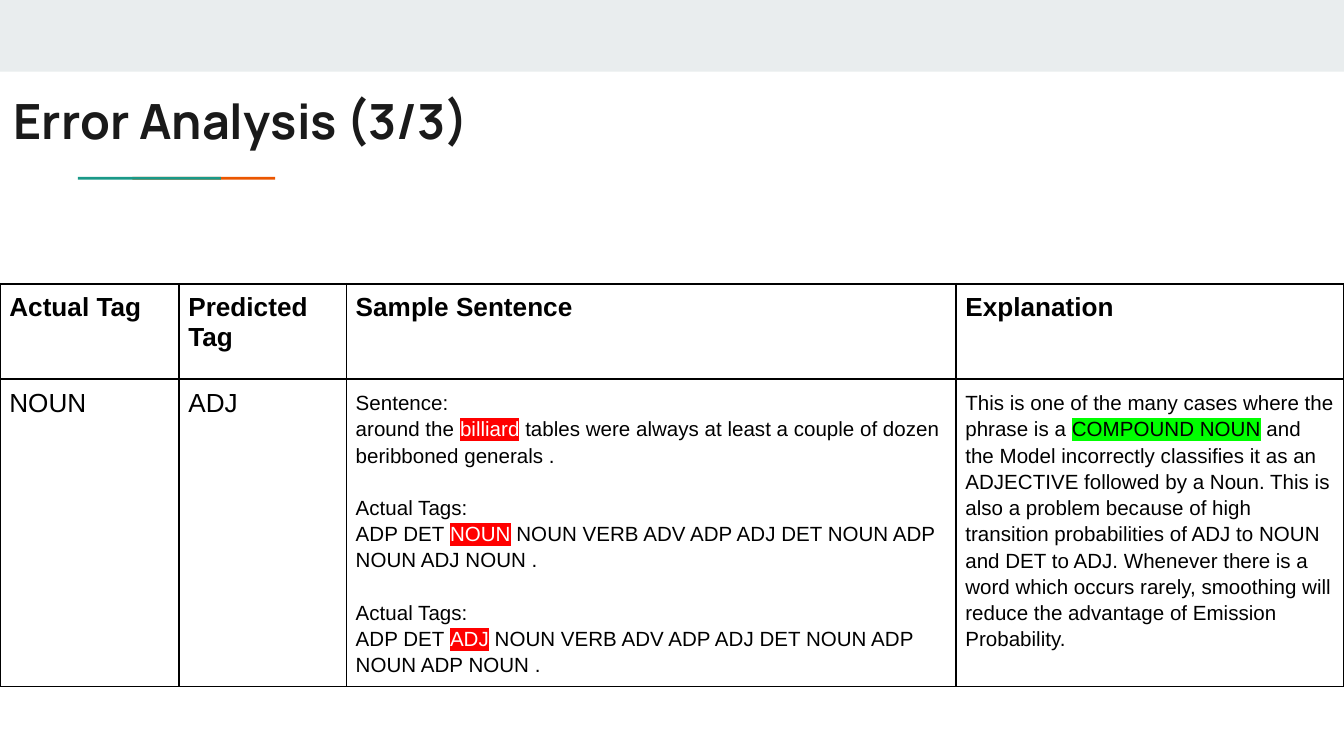
import pptx
import pptx.dml.color
import pptx.enum.shapes
import pptx.enum.text
import pptx.oxml
import pptx.oxml.ns
import pptx.util

Pt = pptx.util.Pt
COLORS = {
    "band": "E9EDEE", "teal": "1A9988", "orange": "EB5600", "title": "1A1A1A",
    "black": "000000", "white": "FFFFFF", "red": "FF0000", "green": "00FF00",
}
NAMESPACE = pptx.oxml.ns.nsdecls("a")


def color(name):
    return pptx.dml.color.RGBColor.from_string(COLORS[name])


class SlideBuilder:
    """Holds the style and the current slide."""

    title_font, body_font = "Manrope", "Arial"
    cell_margin = Pt(5)
    blank_line = Pt(14)

    def __init__(self, slide):
        self.slide = slide

    def title(self, text, left, top, width, height):
        shape = self.slide.shapes.title
        shape.left, shape.top = Pt(left), Pt(top)
        shape.width, shape.height = Pt(width), Pt(height)
        frame = shape.text_frame
        frame.margin_left = frame.margin_right = Pt(7.2)
        frame.margin_top = frame.margin_bottom = Pt(7.2)
        frame.vertical_anchor = pptx.enum.text.MSO_ANCHOR.TOP
        frame.auto_size = pptx.enum.text.MSO_AUTO_SIZE.NONE
        frame.text = text
        paragraph = frame.paragraphs[0]
        paragraph.alignment = pptx.enum.text.PP_ALIGN.LEFT
        self.font(paragraph, self.title_font, 26, "title", True)

    def font(self, paragraph, name, size, color_name, bold=False):
        font = paragraph.font
        font.name, font.size, font.bold = name, Pt(size), bold
        font.color.rgb = color(color_name)

    def bar(self, fill, left, top, width, height):
        shape = self.slide.shapes.add_shape(
            pptx.enum.shapes.MSO_SHAPE.RECTANGLE,
            Pt(left), Pt(top), Pt(width), Pt(height))
        shape.shadow.inherit = False
        shape.fill.solid()
        shape.fill.fore_color.rgb = color(fill)
        shape.line.fill.background()

    def table(self, rows, left, top, widths, heights):
        table = self.slide.shapes.add_table(
            len(rows), len(widths), Pt(left), Pt(top),
            Pt(sum(widths)), Pt(sum(heights))).table
        table.first_row = table.horz_banding = False
        for column, width in zip(table.columns, widths):
            column.width = Pt(width)
        for row, height in zip(table.rows, heights):
            row.height = Pt(height)
        for row_index, row in enumerate(rows):
            for column_index, content in enumerate(row):
                cell = table.cell(row_index, column_index)
                self.style_cell(cell)
                if isinstance(content, str):
                    cell.text = content
                    self.font(cell.text_frame.paragraphs[0], self.body_font,
                              14, "black", row_index == 0)
                else:
                    self.rich_text(cell.text_frame, content)

    def style_cell(self, cell):
        cell.margin_left = cell.margin_right = self.cell_margin
        cell.margin_top = cell.margin_bottom = self.cell_margin
        properties = cell._tc.get_or_add_tcPr()
        for side in "LRTB":
            properties.append(pptx.oxml.parse_xml(
                f'<a:ln{side} {NAMESPACE} w="{Pt(1)}"><a:solidFill>'
                f'<a:srgbClr val="{COLORS["black"]}"/></a:solidFill></a:ln{side}>'))
        cell.fill.background()

    def rich_text(self, frame, groups):
        """Write groups of paragraphs, one blank line's height apart."""
        paragraph = None
        for group in groups:
            for index, runs in enumerate(group):
                starts_group = paragraph is not None and index == 0
                paragraph = frame.paragraphs[0] if paragraph is None else frame.add_paragraph()
                paragraph.line_spacing = 1.15
                if starts_group:
                    paragraph.space_before = self.blank_line
                self.font(paragraph, self.body_font, 11, "black")
                for text, *marking in runs:
                    run = paragraph.add_run()
                    run.text = text
                    if marking:
                        self.highlight(run, *marking)

    def highlight(self, run, text_color, background):
        run.font.color.rgb = color(text_color)
        run.font._element.append(pptx.oxml.parse_xml(
            f'<a:highlight {NAMESPACE}>'
            f'<a:srgbClr val="{COLORS[background]}"/></a:highlight>'))


def tag_group(tag, remaining_tags):
    return [[("Actual Tags:",)],
            [("ADP DET ",), (tag, "white", "red"), (remaining_tags,)]]


def main():
    presentation = pptx.Presentation()
    presentation.slide_width, presentation.slide_height = Pt(720), Pt(405)
    builder = SlideBuilder(presentation.slides.add_slide(presentation.slide_layouts[5]))

    # Top band and accent line of two overlapping bars
    builder.bar("band", 0, 0, 720, 38.4)
    for fill, left in (("orange", 70.9), ("teal", 41.8)):
        builder.bar(fill, left, 94.8, 76.6, 1.5)

    # Title
    builder.title("Error Analysis (3/3)", 0, 41.4, 605.5, 42.5)

    # Error table
    sentence = [
        [[("Sentence:",)],
         [("around the ",), ("billiard", "white", "red"),
          (" tables were always at least a couple of dozen beribboned generals .",)]],
        tag_group("NOUN", " NOUN VERB ADV ADP ADJ DET NOUN ADP NOUN ADJ NOUN ."),
        tag_group("ADJ", " NOUN VERB ADV ADP ADJ DET NOUN ADP NOUN ADP NOUN ."),
    ]
    explanation = [[[
        ("This is one of the many cases where the phrase is a ",),
        ("COMPOUND NOUN", "black", "green"),
        (" and the Model incorrectly classifies it as an ADJECTIVE followed by a Noun. "
         "This is also a problem because of high transition probabilities of ADJ to NOUN "
         "and DET to ADJ. Whenever there is a word which occurs rarely, smoothing will "
         "reduce the advantage of Emission Probability.",),
    ]]]
    builder.table(
        [["Actual Tag", "Predicted Tag", "Sample Sentence", "Explanation"],
         ["NOUN", "ADJ", sentence, explanation]],
        0, 152, [95.9, 89.7, 326.6, 207.8], [51.2, 131.8])

    presentation.save("out.pptx")


if __name__ == "__main__":
    main()
